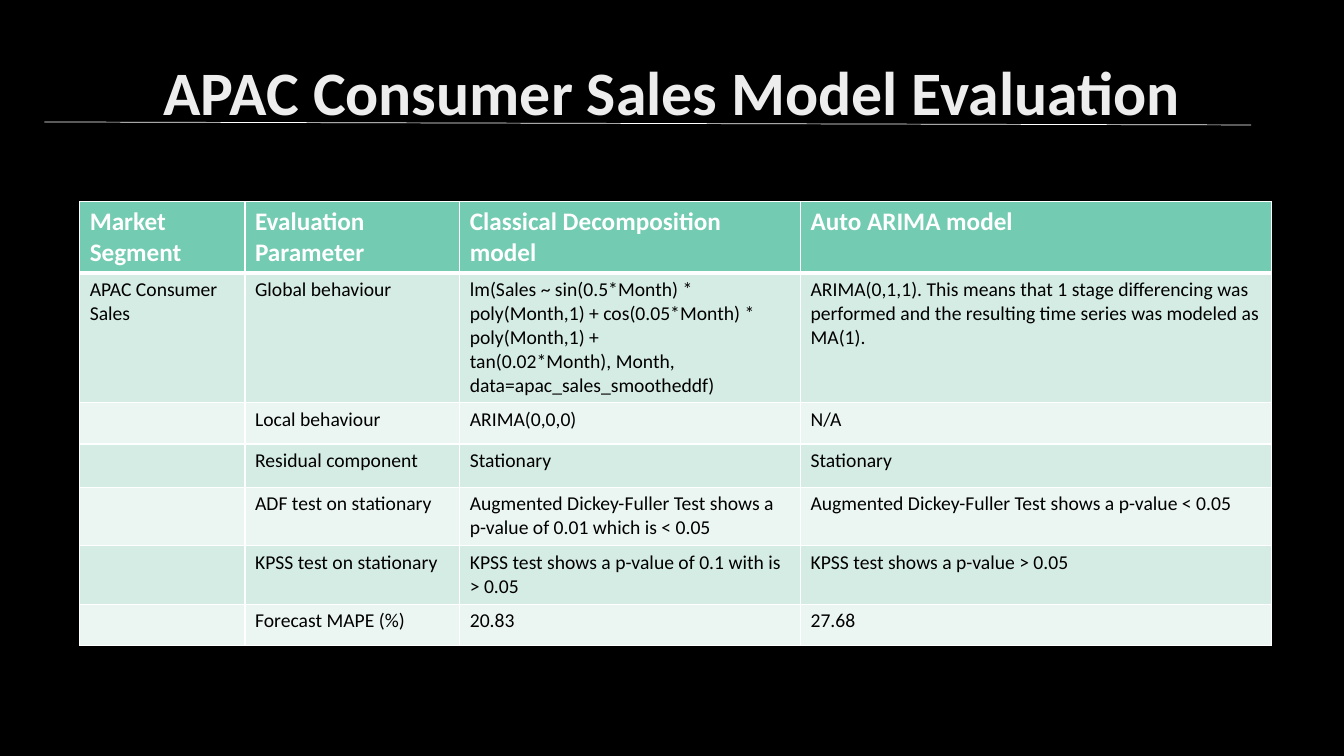
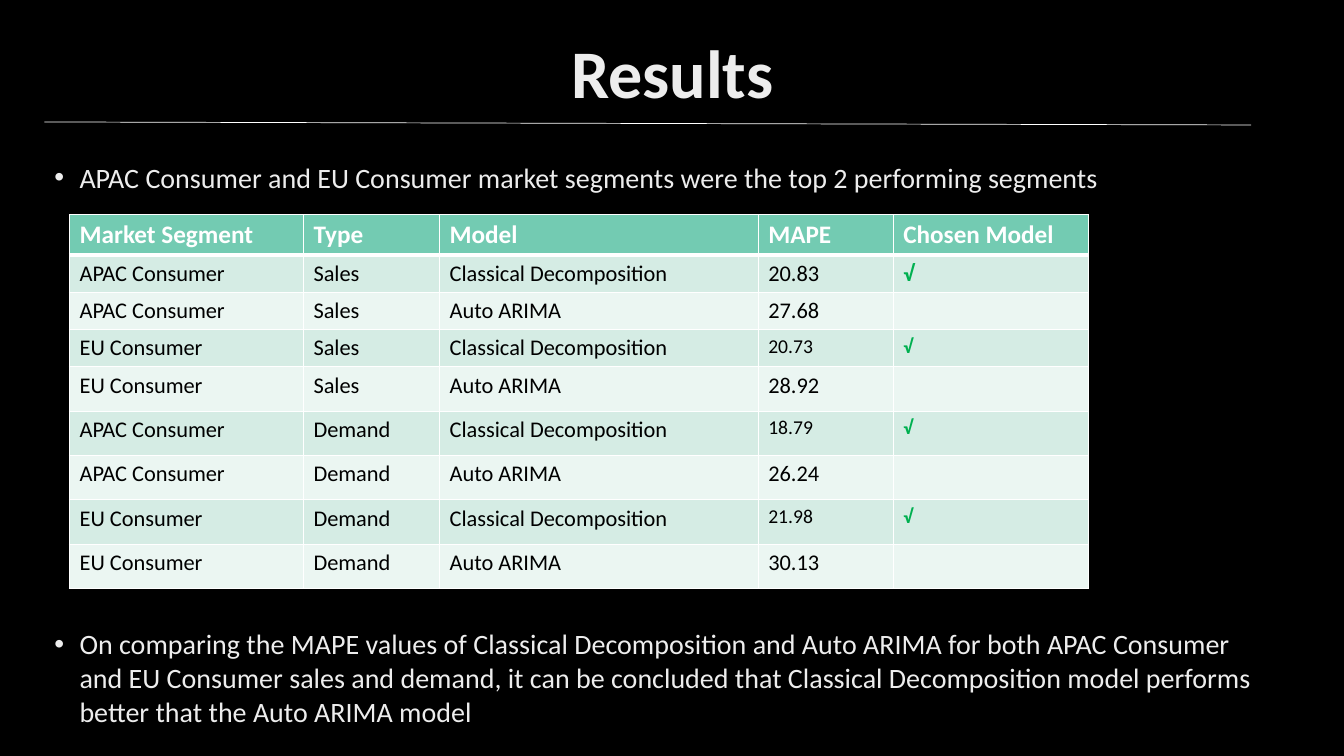
from lxml.etree import SubElement
from pptx import Presentation
from pptx.dml.color import RGBColor
from pptx.enum.shapes import MSO_CONNECTOR
from pptx.enum.text import MSO_ANCHOR, MSO_AUTO_SIZE, PP_ALIGN
from pptx.oxml.ns import qn
from pptx.util import Inches, Pt

LINE = MSO_CONNECTOR.STRAIGHT
MIDDLE, CENTER, LEFT = MSO_ANCHOR.MIDDLE, PP_ALIGN.CENTER, PP_ALIGN.LEFT
FIXED = MSO_AUTO_SIZE.NONE

FONT = "Calibri"
HUE = {"back": "000000", "title": "EDEDED", "white": "FFFFFF", "ink": "000000",
       "head": "73CBB2", "odd": "D5ECE4", "even": "EBF6F2", "tick": "00B050"}
TICK = "√"

# Content: a cell is a text, or a text with its own size
MODEL = {
    "title": "APAC Consumer Sales Model Evaluation", "size": 44.1, "top": 0.45,
    "table": {
        "at": (0.79, 2), "size": 14,
        "cols": [1.64, 2.13, 3.38, 4.67],
        "heights": [0.7, 1.28, 0.41, 0.43, 0.58, 0.58, 0.41],
        "rows": [
            ("Market Segment", "Evaluation Parameter",
             "Classical Decomposition model", "Auto ARIMA model"),
            ("APAC Consumer Sales", "Global behaviour",
             "lm(Sales ~ sin(0.5*Month) * poly(Month,1) + cos(0.05*Month) * "
             "poly(Month,1) +\ntan(0.02*Month), Month, data=apac_sales_smootheddf)",
             "ARIMA(0,1,1). This means that 1 stage differencing was performed "
             "and the resulting time series was modeled as MA(1)."),
            ("", "Local behaviour", "ARIMA(0,0,0)", "N/A"),
            ("", "Residual component", "Stationary", "Stationary"),
            ("", "ADF test on stationary",
             "Augmented Dickey-Fuller Test shows a p-value of 0.01 which is < 0.05",
             "Augmented Dickey-Fuller Test shows a p-value < 0.05"),
            ("", "KPSS test on stationary",
             "KPSS test shows a p-value of 0.1 with is > 0.05",
             "KPSS test shows a p-value > 0.05"),
            ("", "Forecast MAPE (%)", "20.83", "27.68"),
        ]},
    "bullets": [],
}
APAC, EU = "APAC Consumer", "EU Consumer"
DECOMP, AUTO = "Classical Decomposition", "Auto ARIMA"
RESULTS = {
    "title": "Results", "size": 48.6, "top": 0.26,
    "table": {
        "at": (0.69, 2.13), "size": 16,
        "cols": [2.32, 1.35, 3.16, 1.34, 1.94],
        "heights": [0.4] + [0.37] * 3 + [0.44] * 5,
        "rows": [
            ("Market Segment", "Type", "Model", "MAPE", "Chosen Model"),
            (APAC, "Sales", DECOMP, "20.83", TICK),
            (APAC, "Sales", AUTO, "27.68", ""),
            (EU, "Sales", DECOMP, ("20.73", 14), (TICK, 14)),
            (EU, "Sales", AUTO, "28.92", ""),
            (APAC, "Demand", DECOMP, ("18.79", 14), (TICK, 14)),
            (APAC, "Demand", AUTO, "26.24", ""),
            (EU, "Demand", DECOMP, ("21.98", 14), (TICK, 14)),
            (EU, "Demand", AUTO, "30.13", ""),
        ]},
    "bullets": [
        (1.54, 0.5, "APAC Consumer and EU Consumer market segments were the top 2 "
                    "performing segments"),
        (6.17, 1.15, "On comparing the MAPE values of Classical Decomposition and "
                     "Auto ARIMA for both APAC Consumer and EU Consumer sales and "
                     "demand, it can be concluded that Classical Decomposition model "
                     "performs better that the Auto ARIMA model"),
    ],
}


def rgb(name):
    return RGBColor.from_string(HUE[name])


def write(frame, text, size=14, hue="ink", bold=False, align=LEFT, bullet=False):
    """Fill a text frame, one paragraph per line of text."""
    frame.word_wrap = True
    for i, part in enumerate(text.split("\n")):
        para = frame.paragraphs[0] if i == 0 else frame.add_paragraph()
        para.alignment = align
        if bullet:
            props = para._p.get_or_add_pPr()
            props.set("marL", str(Inches(0.25)))
            props.set("indent", str(-Inches(0.25)))
            SubElement(props, qn("a:buFont"), typeface="Arial")
            SubElement(props, qn("a:buChar"), char="•")
        if not part:
            SubElement(para._p, qn("a:endParaRPr"), sz=str(size * 100))
            continue
        run = para.add_run()
        run.text = part
        font = run.font
        font.name, font.size, font.bold = FONT, Pt(size), bold
        font.color.rgb = rgb(hue)


def edge(cell, head):
    """White cell borders, heavy under the header."""
    props = cell._tc.get_or_add_tcPr()
    for side in ("L", "R", "T", "B"):
        width = 3 if head and side == "B" else 1
        line = SubElement(props, qn("a:ln" + side), w=str(Pt(width)))
        fill = SubElement(line, qn("a:solidFill"))
        SubElement(fill, qn("a:srgbClr"), val=HUE["white"])


def grid(slide, at, size, cols, heights, rows):
    table = slide.shapes.add_table(
        len(rows), len(cols), *map(Inches, at),
        Inches(sum(cols)), Inches(sum(heights))).table
    for col, width in zip(table.columns, cols):
        col.width = Inches(width)
    for r, row in enumerate(rows):
        table.rows[r].height = Inches(heights[r])
        head = r == 0
        band = "head" if head else "odd" if r % 2 else "even"
        for c, item in enumerate(row):
            text, own = item if isinstance(item, tuple) else (item, size)
            cell = table.cell(r, c)
            edge(cell, head or False)
            cell.fill.solid()
            cell.fill.fore_color.rgb = rgb(band)
            hue = "white" if head else "tick" if text == TICK else "ink"
            write(cell.text_frame, text, size=18 if head else own, hue=hue,
                  bold=hue != "ink")


def frame(slide, text, size, top):
    """Title and the rule below it."""
    title = slide.shapes.title
    title.left, title.top = Inches(0.92), Inches(top)
    title.width, title.height = Inches(11.5), Inches(0.9)
    title.text_frame.auto_size = FIXED
    title.text_frame.vertical_anchor = MIDDLE
    write(title.text_frame, text, size=size, hue="title", bold=True, align=CENTER)
    rule = slide.shapes.add_connector(
        LINE, *map(Inches, (0.44, 1.21, 12.41, 1.24)))
    rule.line.color.rgb = rgb("white")
    rule.line.width = Pt(0.5)
    SubElement(rule._element.spPr, qn("a:effectLst"))


def main():
    prs = Presentation()
    prs.slide_width, prs.slide_height = Inches(13.33), Inches(7.5)
    back = prs.slide_master.background.fill
    back.solid()
    back.fore_color.rgb = rgb("back")
    for page in (MODEL, RESULTS):
        slide = prs.slides.add_slide(prs.slide_layouts[5])
        frame(slide, page["title"], page["size"], page["top"])
        for top, height, text in page["bullets"]:
            box = slide.shapes.add_textbox(
                *map(Inches, (0.44, top, 12.21, height)))
            write(box.text_frame, text, size=20, hue="title", bullet=True)
        grid(slide, **page["table"])
    prs.save("out.pptx")


if __name__ == "__main__":
    main()
